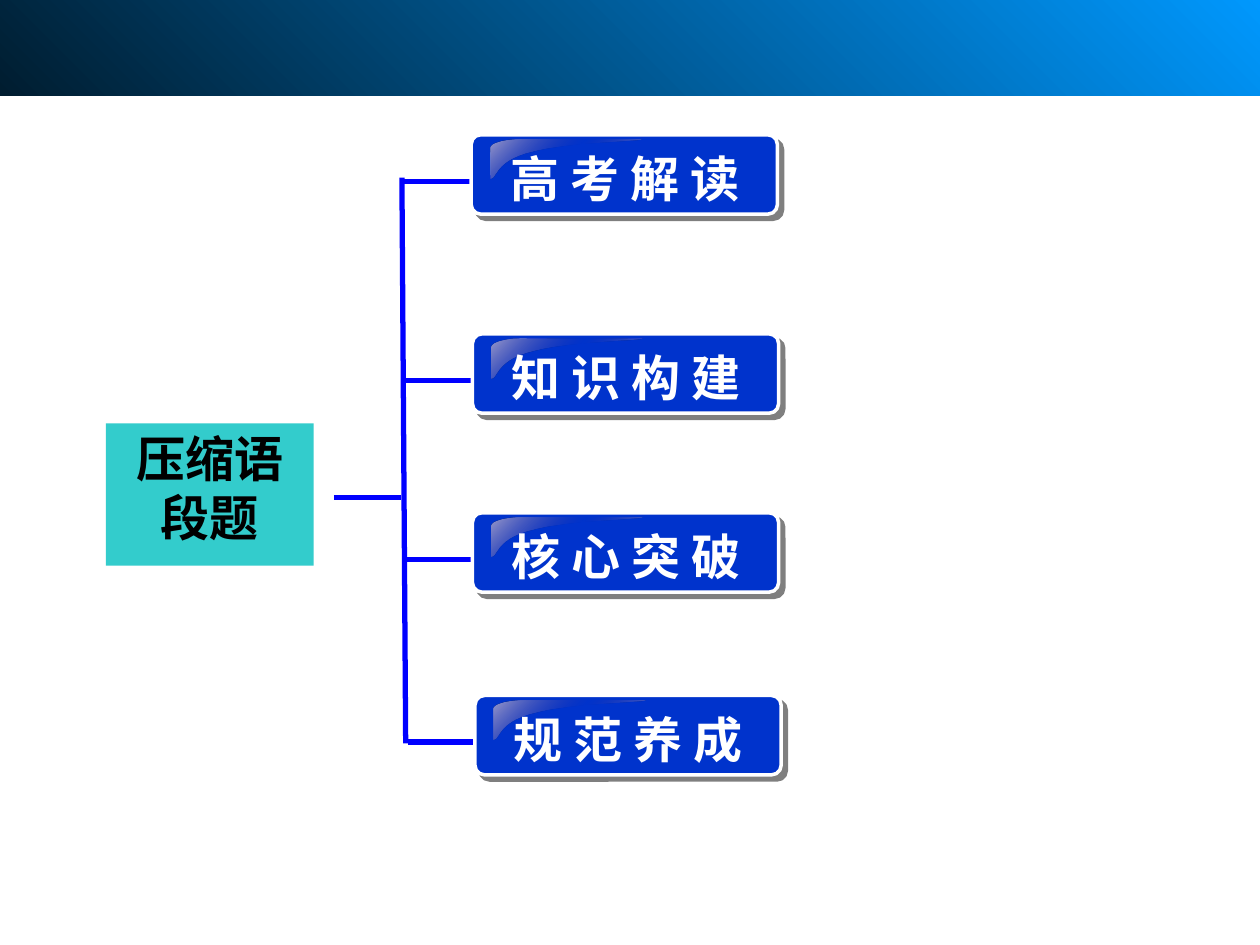
from lxml import etree
from pptx import Presentation
from pptx.dml.color import RGBColor
from pptx.enum.shapes import MSO_CONNECTOR, MSO_SHAPE
from pptx.enum.text import MSO_ANCHOR, MSO_AUTO_SIZE, PP_ALIGN
from pptx.oxml.ns import qn
from pptx.util import Inches, Pt

STRAIGHT = MSO_CONNECTOR.STRAIGHT
RECTANGLE = MSO_SHAPE.RECTANGLE
ROUNDED = MSO_SHAPE.ROUNDED_RECTANGLE
TOP, MIDDLE = MSO_ANCHOR.TOP, MSO_ANCHOR.MIDDLE
LEFT, CENTER = PP_ALIGN.LEFT, PP_ALIGN.CENTER
GROW = MSO_AUTO_SIZE.SHAPE_TO_FIT_TEXT

COLORS = {
    "band light": "0099FF", "band dark": "001D30", "topic": "33CCCC",
    "line": "0000FF", "button": "0033CC", "gloss": "9B9BCC",
    "gloss clear": "333399", "white": "FFFFFF", "black": "000000",
}
CJK_FONT = "Noto Sans CJK SC"
LATIN_FONT = "Times New Roman"

# label, left, top
BUTTONS = [
    ("高 考 解 读", 3.74, 1.07),
    ("知 识 构 建", 3.75, 2.65),
    ("核 心 突 破", 3.75, 4.07),
    ("规 范 养 成", 3.77, 5.52),
]
# Highlight outline from its top left corner: start, then segments of
# one point (straight) or three points (Bezier curve)
GLOSS_START = (0.24, 0)
GLOSS_SEGMENTS = [
    [(0.11, 0), (0, 0.03), (0, 0.07)],
    [(0, 0.31)],
    [(0.06, 0.31), (0.03, 0.17), (0.33, 0.1)],
    [(0.63, 0.02), (1.21, 0.02), (1.2, 0)],
    [GLOSS_START],
]


def rgb(name):
    return RGBColor.from_string(COLORS[name])


def add_color(parent, name, alpha=100):
    color = etree.SubElement(parent, qn("a:srgbClr"), val=COLORS[name])
    if alpha < 100:
        etree.SubElement(color, qn("a:alpha"), val=str(alpha * 1000))


def fill_gradient(shape, stops, angle):
    """Stops are (percent, colour name, alpha); angle is counter-clockwise."""
    shape.fill.gradient()
    shape.fill.gradient_angle = angle
    stop_list = next(shape._element.spPr.iter(qn("a:gsLst")))
    for stop in list(stop_list):
        stop_list.remove(stop)
    for percent, name, alpha in stops:
        stop = etree.SubElement(stop_list, qn("a:gs"), pos=str(percent * 1000))
        add_color(stop, name, alpha)


def add_block(slide, kind, left, top, width, height):
    block = slide.shapes.add_shape(
        kind, Inches(left), Inches(top), Inches(width), Inches(height))
    block.shadow.inherit = False
    block.line.fill.background()
    return block


def add_line(slide, x1, y1, x2, y2):
    line = slide.shapes.add_connector(
        STRAIGHT, Inches(x1), Inches(y1), Inches(x2), Inches(y2))
    line.line.color.rgb = rgb("line")
    line.line.width = Pt(3)
    etree.SubElement(line._element.spPr, qn("a:effectLst"))


def write_text(box, text, color, font, align, anchor, margins):
    frame = box.text_frame
    left, top, right, bottom = map(Inches, margins)
    values = {"word_wrap": True, "vertical_anchor": anchor,
              "auto_size": GROW, "margin_left": left, "margin_top": top,
              "margin_right": right, "margin_bottom": bottom}
    for name, value in values.items():
        setattr(frame, name, value)
    para = frame.paragraphs[0]
    para.alignment = align
    span = para.add_run()
    span.text = text
    for name, value in {"size": Pt(28), "bold": True, "name": font}.items():
        setattr(span.font, name, value)
    span.font.color.rgb = rgb(color)
    etree.SubElement(span.font._element, qn("a:ea"), typeface=CJK_FONT)


def add_drop_shadow(shape):
    effects = shape._element.spPr.find(qn("a:effectLst"))
    shadow = etree.SubElement(
        effects, qn("a:outerShdw"), blurRad="0", dist=str(Pt(4.2)),
        dir="2700000", algn="ctr", rotWithShape="0")
    add_color(shadow, "black", 50)


def bend_segments(shape, segments):
    """Merge each three straight steps of a curved segment into a Bezier."""
    steps = shape._element.spPr.iter(qn("a:lnTo"))
    steps = iter(list(steps))
    for segment in segments:
        group = [next(steps) for _ in segment]
        if len(group) == 3:
            curve = etree.Element(qn("a:cubicBezTo"))
            group[0].addprevious(curve)
            for step in group:
                curve.append(step[0])
                step.getparent().remove(step)


def add_gloss(slide, left, top):
    def place(point):
        return Inches(left + point[0]), Inches(top + point[1])

    builder = slide.shapes.build_freeform(*place(GLOSS_START))
    builder.add_line_segments(
        [place(point) for segment in GLOSS_SEGMENTS for point in segment],
        close=True)
    gloss = builder.convert_to_shape()
    bend_segments(gloss, GLOSS_SEGMENTS)
    gloss.shadow.inherit = False
    gloss.line.fill.background()
    fill_gradient(gloss, [(0, "gloss", 100), (50, "gloss clear", 0),
                          (100, "gloss", 100)], 135)


def add_button(slide, label, left, top):
    """Branch line, glossy button and its label."""
    branch_y = top + 0.37
    add_line(slide, left - 0.53, branch_y, left, branch_y)
    button = add_block(slide, ROUNDED, left, top, 2.43, 0.63)
    button.adjustments[0] = 0.119
    button.fill.solid()
    button.fill.fore_color.rgb = rgb("button")
    button.line.color.rgb = rgb("white")
    button.line.width = Pt(2)
    add_drop_shadow(button)
    add_gloss(slide, left + 0.15, top + 0.04)
    box = slide.shapes.add_textbox(
        Inches(left + 0.21), Inches(top + 0.06), Inches(4.11), Inches(0.57))
    write_text(box, label, "white", LATIN_FONT, LEFT, MIDDLE,
               (0.1, 0.05, 0.1, 0.05))


def main():
    deck = Presentation()
    deck.slide_width, deck.slide_height = Inches(10), Inches(7.5)
    slide = deck.slides.add_slide(deck.slide_layouts[6])

    topic = add_block(slide, RECTANGLE, 0.84, 3.36, 1.65, 1.13)
    topic.fill.solid()
    topic.fill.fore_color.rgb = rgb("topic")
    write_text(topic, "压缩语段题", "black", CJK_FONT, CENTER, TOP,
               (0.1, 0.04, 0.1, 0.16))

    band = add_block(slide, RECTANGLE, 0, -0.11, 10, 0.87)
    fill_gradient(band, [(0, "band light", 100), (100, "band dark", 100)], 225)

    add_line(slide, 2.65, 3.95, 3.18, 3.95)
    add_line(slide, 3.19, 1.41, 3.22, 5.9)
    for label, left, top in BUTTONS:
        add_button(slide, label, left, top)
    deck.save("out.pptx")


if __name__ == "__main__":
    main()
